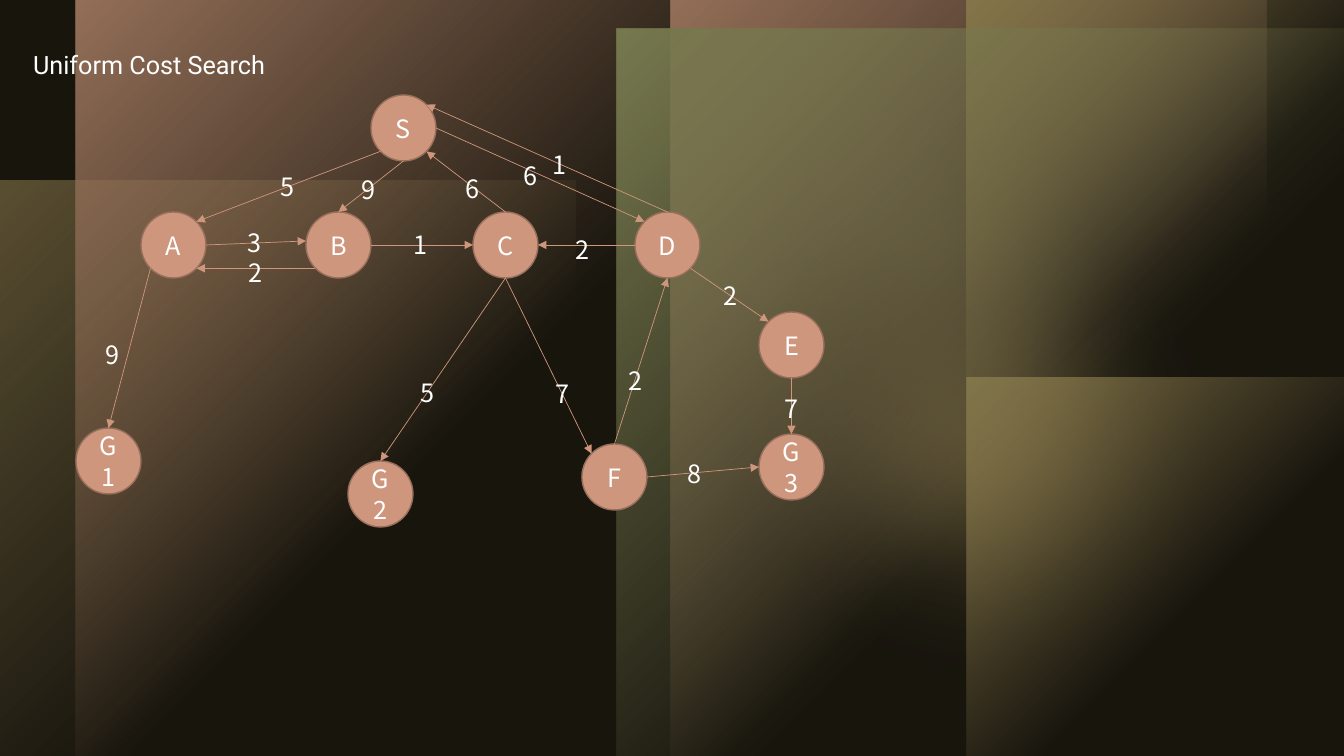
import math

from lxml import etree
from pptx import Presentation
from pptx import util as u
from pptx.dml.color import RGBColor
from pptx.enum import shapes, text
from pptx.oxml import parse_xml
from pptx.oxml.ns import nsdecls, qn

BLACK = RGBColor(0x00, 0x00, 0x00)
WHITE = RGBColor(0xFF, 0xFF, 0xFF)
CLAY = RGBColor(0xCE, 0x96, 0x7C)
CLAY_EDGE = RGBColor(0x98, 0x6F, 0x5C)
OLIVE = RGBColor(0xB5, 0xA0, 0x64)
SAGE = RGBColor(0x9D, 0xA6, 0x6C)
SHADE = RGBColor(0x3C, 0x35, 0x22)

SCALE = 914400 / 100.8
NODE_W, NODE_H = 65, 66
TOP, TOP_LEFT, LEFT, BOTTOM_LEFT, BOTTOM, BOTTOM_RIGHT, RIGHT, TOP_RIGHT = range(8)
RECT = shapes.MSO_SHAPE.RECTANGLE
OVAL = shapes.MSO_SHAPE.OVAL

NODES = {
    "S": (371, 95), "A": (141, 212), "B": (306, 212), "C": (473, 212),
    "D": (635, 212), "E": (759, 312), "F": (582, 444),
    "G3": (759, 434), "G2": (348, 461), "G1": (76, 428),
}

EDGES = [
    ("S", BOTTOM_LEFT, "A", TOP_RIGHT, "5", (271, 166)),
    ("S", BOTTOM, "B", TOP, "9", (352, 169)),
    ("C", TOP, "S", BOTTOM_RIGHT, "6", (456, 168)),
    ("F", TOP, "D", BOTTOM, "2", (619, 360)),
    ("D", TOP, "S", TOP_RIGHT, "1", (543, 144)),
    ("D", BOTTOM_RIGHT, "E", TOP_LEFT, "2", (714, 275)),
    ("A", BOTTOM_LEFT, "G1", TOP, "9", (96, 334)),
    ("A", RIGHT, "B", None, "3", (238, 222)),
    ("B", BOTTOM_LEFT, "A", BOTTOM_RIGHT, "2", (239, 252)),
    ("B", RIGHT, "C", LEFT, "1", (404, 224)),
    ("D", LEFT, "C", RIGHT, "2", (566, 229)),
    ("S", RIGHT, "D", TOP_LEFT, "6", (514, 155)),
    ("F", RIGHT, "G3", LEFT, "8", (678, 453)),
    ("E", BOTTOM, "G3", TOP, "7", (775, 388)),
    ("C", BOTTOM, "F", TOP_LEFT, "7", (546, 373)),
    ("C", BOTTOM, "G2", TOP, "5", (411, 372)),
]


def px(*lengths):
    return [u.Emu(round(n * SCALE)) for n in lengths]


def write(tf, words, font="Noto Sans CJK JP", size=18, color=WHITE,
          align=text.PP_ALIGN.LEFT, anchor=text.MSO_ANCHOR.TOP):
    tf.word_wrap = True
    tf.vertical_anchor = anchor
    p = tf.paragraphs[0]
    p.alignment = align
    r = p.add_run()
    r.text = words
    r.font.name, r.font.size = font, u.Pt(size)
    r.font.color.rgb = color


class Slide:
    def __init__(self, prs):
        self.s = prs.slides.add_slide(prs.slide_layouts[5])
        self.s.background.fill.solid()
        self.s.background.fill.fore_color.rgb = BLACK
        self.nodes = {}

    def shape(self, kind, x, y, w, h, color, alpha=100):
        sp = self.s.shapes.add_shape(kind, *px(x, y, w, h))
        sp.shadow.inherit = False
        sp.fill.solid()
        sp.fill.fore_color.rgb = color
        sp.line.fill.background()
        if alpha < 100:
            clr = sp._element.spPr.find(".//" + qn("a:srgbClr"))
            etree.SubElement(clr, qn("a:alpha"), val=str(alpha * 1000))
        return sp

    def glow(self, x, y, w, h, color, alpha=100, rotation=0, flip=False):
        sp = self.shape(RECT, x, y, w, h, color)
        sp.rotation = rotation
        spPr = sp._element.spPr
        if flip:
            spPr.find(qn("a:xfrm")).set("flipH", "1")
        stops = "".join(
            f'<a:gs pos="{pos}"><a:srgbClr val="{color}">'
            f'<a:alpha val="{a * 1000}"/></a:srgbClr></a:gs>'
            for pos, a in ((0, alpha), (60000, 0)))
        grad = parse_xml(
            f'<a:gradFill {nsdecls("a")} rotWithShape="1"><a:gsLst>{stops}</a:gsLst>'
            '<a:path path="circle"><a:fillToRect r="100000" b="100000"/></a:path>'
            '</a:gradFill>')
        spPr.replace(spPr.find(qn("a:solidFill")), grad)

    def soft_oval(self, x, y, size, color, alpha):
        sp = self.shape(OVAL, x, y, size, size, color, alpha)
        effects = sp._element.spPr.find(qn("a:effectLst"))
        etree.SubElement(effects, qn("a:softEdge"), rad="1270000")

    def node(self, name, x, y):
        sp = self.shape(OVAL, x, y, NODE_W, NODE_H, CLAY)
        sp.line.color.rgb = CLAY_EDGE
        sp.line.width = u.Pt(1)
        write(sp.text_frame, name, align=text.PP_ALIGN.CENTER,
              anchor=text.MSO_ANCHOR.MIDDLE)
        self.nodes[name] = sp

    def site(self, name, index):
        x, y = NODES[name]
        if index is None:
            return x, y + NODE_H / 2 - 4
        angle = index * math.pi / 4
        return (x + NODE_W / 2 * (1 - math.sin(angle)),
                y + NODE_H / 2 * (1 - math.cos(angle)))

    def arrow(self, start, start_site, end, end_site):
        cx = self.s.shapes.add_connector(
            shapes.MSO_CONNECTOR.STRAIGHT,
            *px(*self.site(start, start_site), *self.site(end, end_site)))
        cx.line.color.rgb = CLAY
        cx.line.width = u.Pt(0.5)
        etree.SubElement(cx.line._get_or_add_ln(), qn("a:tailEnd"), type="triangle")
        etree.SubElement(cx._element.spPr, qn("a:effectLst"))
        joints = cx._element.find(".//" + qn("p:cNvCxnSpPr"))
        for tag, name, index in (("a:stCxn", start, start_site),
                                 ("a:endCxn", end, end_site)):
            if index is not None:
                etree.SubElement(joints, qn(tag), idx=str(index),
                                 id=str(self.nodes[name].shape_id))

    def label(self, words, x, y):
        tf = self.s.shapes.add_textbox(*px(x, y, 32, 40)).text_frame
        write(tf, words)
        tf.auto_size = text.MSO_AUTO_SIZE.SHAPE_TO_FIT_TEXT

    def title(self, words, x, y, w, h):
        sp = self.s.shapes.title
        sp.left, sp.top, sp.width, sp.height = px(x, y, w, h)
        write(sp.text_frame, words, font="Roboto")
        sp._element.getparent().append(sp._element)


def main():
    prs = Presentation()
    prs.slide_width, prs.slide_height = px(1344, 756)
    slide = Slide(prs)

    slide.glow(0, 180, 576, 576, OLIVE, alpha=60, rotation=270)
    slide.soft_oval(704, 0, 476, SAGE, 96)
    slide.soft_oval(674, 136, 607, OLIVE, 60)
    slide.glow(671, 0, 596, 756, CLAY)
    slide.glow(76, 0, 595, 756, CLAY, flip=True)
    slide.glow(966, 378, 378, 378, OLIVE, rotation=90)
    slide.glow(966, 0, 378, 378, OLIVE, rotation=90, flip=True)
    slide.glow(617, 29, 727, 727, SAGE, rotation=180)
    slide.shape(RECT, 0, 0, 1344, 756, SHADE, 40)

    for name, spot in NODES.items():
        slide.node(name, *spot)
    for *ends, cost, spot in EDGES:
        slide.arrow(*ends)
    for *ends, cost, spot in EDGES:
        slide.label(cost, *spot)
    slide.title("Uniform Cost Search", 23, 44, 671, 40)

    prs.save("out.pptx")


if __name__ == "__main__":
    main()
